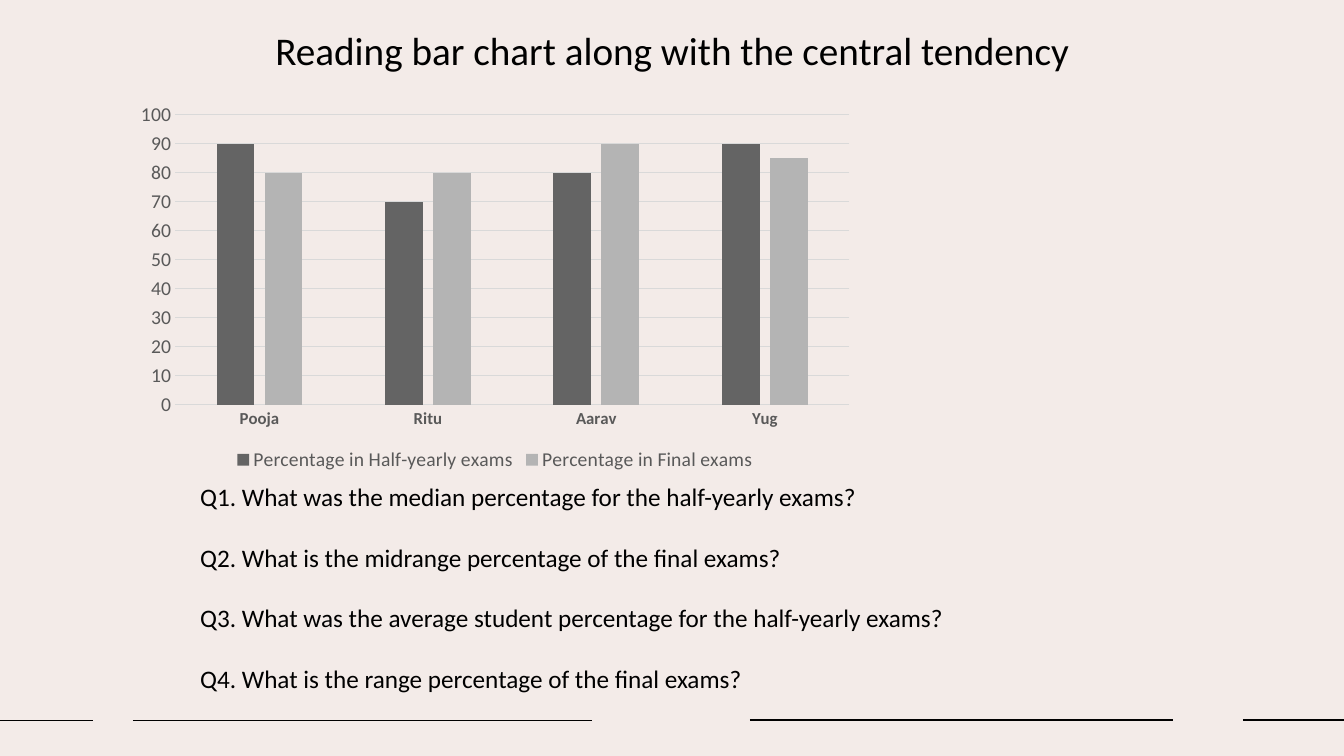
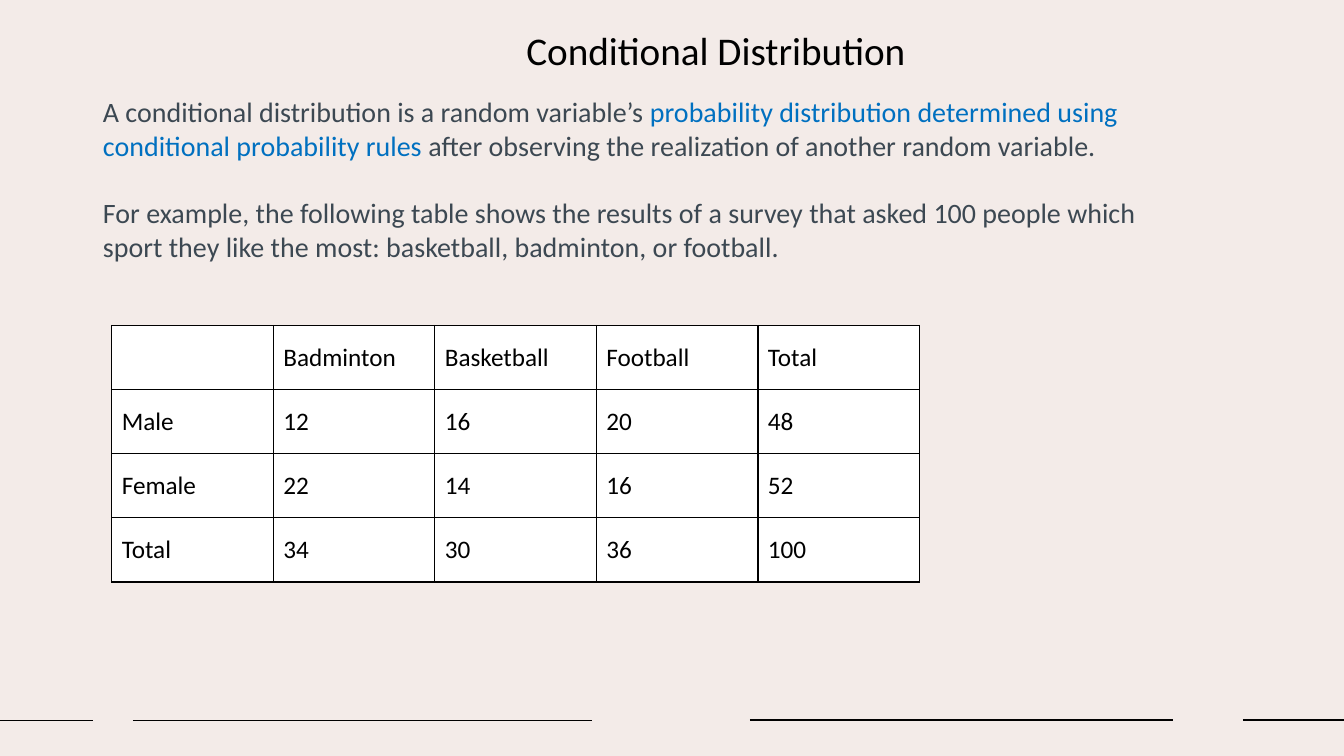
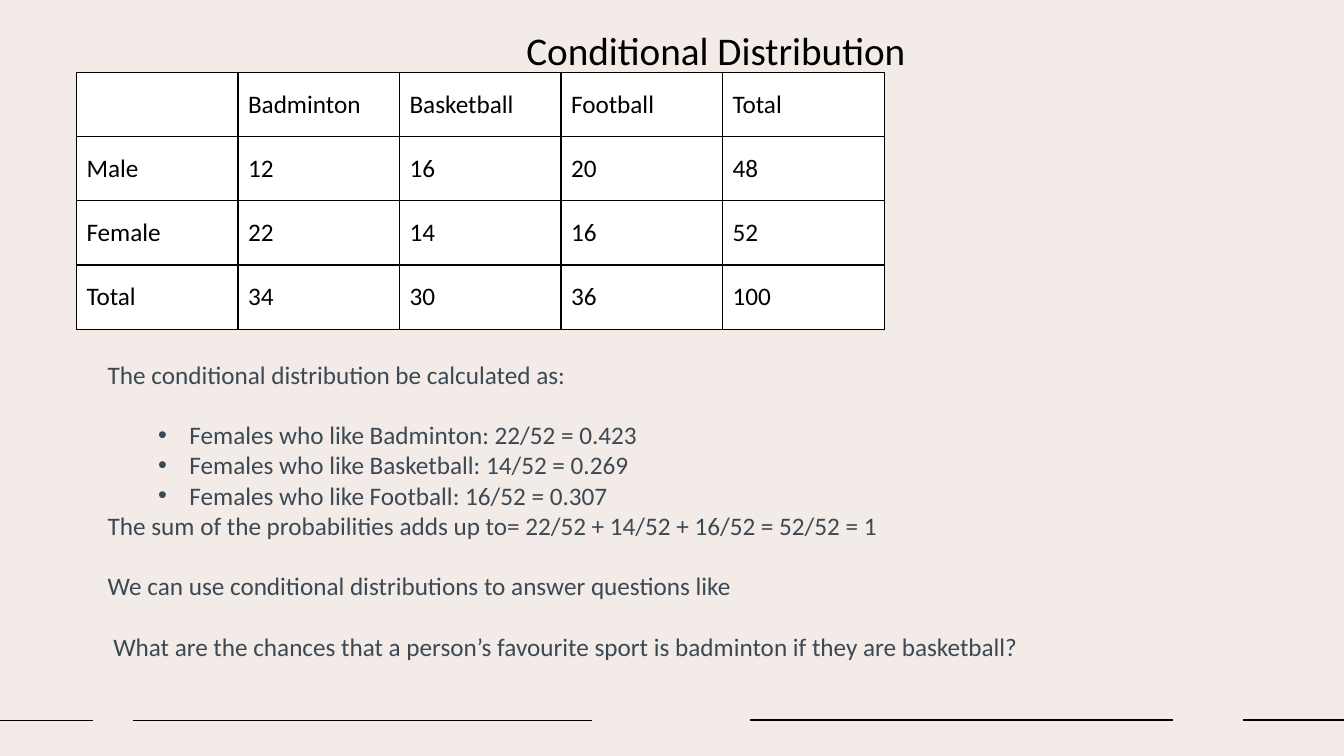
from lxml import etree
from pptx import Presentation
from pptx.chart import data as chart_data
from pptx.dml.color import RGBColor
from pptx.enum import chart as ch, shapes, text
from pptx.oxml import ns
from pptx.util import Cm, Pt

FONT = "Calibri"
BLACK = RGBColor(0x00, 0x00, 0x00)
WHITE = RGBColor(0xFF, 0xFF, 0xFF)
BLUSH = RGBColor(0xF3, 0xEB, 0xE8)
SLATE = RGBColor(0x3C, 0x48, 0x52)
BLUE = RGBColor(0x00, 0x70, 0xC0)
AXIS_GREY = RGBColor(0x59, 0x59, 0x59)
GRID_GREY = RGBColor(0xD9, 0xD9, 0xD9)

FOOTER_LINES = [(0, 2.34, 18.16), (3.35, 14.91, 18.16),
                (18.9, 29.57, 18.14), (31.32, 33.87, 18.14)]

STUDENTS = ["Pooja", "Ritu", "Aarav", "Yug"]
EXAMS = [
    ("Percentage in Half-yearly exams", (90, 70, 80, 90), RGBColor(0x64, 0x64, 0x64)),
    ("Percentage in Final exams", (80, 80, 90, 85), RGBColor(0xB4, 0xB4, 0xB4)),
]
SURVEY = [
    ("", "Badminton", "Basketball", "Football", "Total"),
    ("Male", "12", "16", "20", "48"),
    ("Female", "22", "14", "16", "52"),
    ("Total", "34", "30", "36", "100"),
]

QUESTIONS = [
    {"runs": [(question, BLACK)], "indent": 0.29, "gap": index > 0}
    for index, question in enumerate([
        "Q1. What was the median percentage for the half-yearly exams?",
        "Q2. What is the midrange percentage of the final exams?",
        "Q3. What was the average student percentage for the half-yearly exams?",
        "Q4. What is the range percentage of the final exams?",
    ])
]
DEFINITION = [
    {"runs": [
        ("A conditional distribution is a random variable’s ", SLATE),
        ("probability distribution determined using conditional probability rules", BLUE),
        (" after observing the realization of another random variable.", SLATE),
    ]},
    {"runs": [("For example, the following table shows the results of a survey that asked "
               "100 people which sport they like the most: basketball, badminton, or "
               "football.", SLATE)], "gap": True},
]
CALCULATION = [
    {"runs": [("The conditional distribution be calculated as:", SLATE)]},
    {"runs": [("Females who like Badminton: 22/52 = 0.423", SLATE)], "bullet": True, "gap": True},
    {"runs": [("Females who like Basketball: 14/52 = 0.269", SLATE)], "bullet": True},
    {"runs": [("Females who like Football: 16/52 = 0.307", SLATE)], "bullet": True},
    {"runs": [("The sum of the probabilities adds up to= 22/52 + 14/52 + 16/52 = 52/52 = 1",
               SLATE)]},
    {"runs": [("We can use conditional distributions to answer questions like", SLATE)],
     "gap": True},
    {"runs": [("What are the chances that a person’s favourite sport is badminton if they "
               "are basketball?", SLATE)], "indent": 0.14, "gap": True},
]

WIDE_TITLE = (0.94, 0.53, 32, 2.11)
SHIFTED_TITLE = (9.19, 0.53, 17.7, 2.11)
SLIDES = [
    {"title": "Reading bar chart along with the central tendency", "title_box": WIDE_TITLE,
     "body": QUESTIONS, "body_box": (4.5, 12.01, 20.8, 5.64), "size": 18,
     "chart_box": (3.18, 2.39, 18.59, 9.6)},
    {"title": "Conditional Distribution", "title_box": SHIFTED_TITLE,
     "body": DEFINITION, "body_box": (2.34, 2.26, 27.64, 5.38), "size": 20,
     "table_at": (2.82, 8.2)},
    {"title": "Conditional Distribution", "title_box": SHIFTED_TITLE,
     "body": CALCULATION, "body_box": (2.46, 8.92, 26.92, 7.95), "size": 18,
     "table_at": (1.93, 1.83)},
]
COLUMN_WIDTH, ROW_HEIGHT = 4.07, 1.61


def apply(target, formats):
    for attribute, value in formats.items():
        setattr(target, attribute, value)


def style_font(font, size, color, bold=False):
    apply(font, {"name": FONT, "size": Pt(size), "bold": bold})
    font.color.rgb = color


def place(placeholder, box):
    apply(placeholder, dict(zip(("left", "top", "width", "height"), map(Cm, box))))
    apply(placeholder.text_frame, {"word_wrap": True, "auto_size": text.MSO_AUTO_SIZE.NONE,
                                   "vertical_anchor": text.MSO_ANCHOR.TOP})


def fill_title(title, wording, box):
    place(title, box)
    heading = title.text_frame.paragraphs[0]
    heading.alignment = text.PP_ALIGN.CENTER
    run = heading.add_run()
    run.text = wording
    style_font(run.font, 28, BLACK)


def fill_body(body, items, box, size):
    place(body, box)
    frame = body.text_frame
    for index, item in enumerate(items):
        paragraph = frame.add_paragraph() if index else frame.paragraphs[0]
        apply(paragraph, {"line_spacing": 1.0, "space_after": Pt(0),
                          "space_before": Pt(size * 1.2 if item.get("gap") else 0),
                          "alignment": text.PP_ALIGN.LEFT})
        bullet = item.get("bullet")
        margin, hanging = (2.06, -0.79) if bullet else (item.get("indent", 0), 0)
        properties = paragraph._p.get_or_add_pPr()
        properties.set("marL", str(Cm(margin)))
        properties.set("indent", str(Cm(hanging)))
        if bullet:
            etree.SubElement(properties, ns.qn("a:buFont"), typeface="Arial")
            etree.SubElement(properties, ns.qn("a:buChar"), char="•")
        else:
            etree.SubElement(properties, ns.qn("a:buNone"))
        for wording, color in item["runs"]:
            run = paragraph.add_run()
            run.text = wording
            style_font(run.font, size, color)


def add_borders(cell):
    properties = cell._tc.get_or_add_tcPr()
    for position, side in enumerate(("lnL", "lnR", "lnT", "lnB")):
        border = etree.Element(ns.qn("a:" + side), w=str(Pt(1)))
        solid = etree.SubElement(border, ns.qn("a:solidFill"))
        etree.SubElement(solid, ns.qn("a:srgbClr"), val=str(BLACK))
        properties.insert(position, border)


def add_survey(slide, left, top):
    rows, columns = len(SURVEY), len(SURVEY[0])
    survey = slide.shapes.add_table(rows, columns, Cm(left), Cm(top),
                                    Cm(columns * COLUMN_WIDTH), Cm(rows * ROW_HEIGHT)).table
    apply(survey, {"first_row": False, "horz_banding": False})
    for row, entries in enumerate(SURVEY):
        for column, entry in enumerate(entries):
            cell = survey.cell(row, column)
            apply(cell, {"text": entry, "margin_left": Cm(0.25), "margin_right": Cm(0.2),
                         "margin_top": Cm(0.42), "margin_bottom": Cm(0.42)})
            style_font(cell.text_frame.paragraphs[0].font, 18, BLACK)
            for run in cell.text_frame.paragraphs[0].runs:
                style_font(run.font, 18, BLACK)
            cell.fill.solid()
            cell.fill.fore_color.rgb = WHITE
            add_borders(cell)


def add_exam_chart(slide, box):
    scores = chart_data.CategoryChartData()
    scores.categories = STUDENTS
    for name, values, _ in EXAMS:
        scores.add_series(name, values)
    chart = slide.shapes.add_chart(ch.XL_CHART_TYPE.COLUMN_CLUSTERED,
                                   *map(Cm, box), scores).chart
    apply(chart, {"has_title": False, "has_legend": True})
    style_font(chart.font, 14, AXIS_GREY)
    apply(chart.legend, {"position": ch.XL_LEGEND_POSITION.BOTTOM, "include_in_layout": False})
    style_font(chart.legend.font, 14, AXIS_GREY)

    plot = chart.plots[0]
    apply(plot, {"gap_width": 219, "overlap": -27, "vary_by_categories": False})
    for series, (_, _, color) in zip(plot.series, EXAMS):
        series.format.fill.solid()
        series.format.fill.fore_color.rgb = color

    students, percent = chart.category_axis, chart.value_axis
    for axis in (students, percent):
        apply(axis, {"major_tick_mark": ch.XL_TICK_MARK.NONE,
                     "minor_tick_mark": ch.XL_TICK_MARK.NONE})
    style_font(students.tick_labels.font, 12, AXIS_GREY, True)
    style_font(percent.tick_labels.font, 14, AXIS_GREY)
    apply(percent, {"minimum_scale": 0, "maximum_scale": 100, "major_unit": 10,
                    "has_major_gridlines": True})
    percent.format.line.fill.background()
    for line in (students.format.line, percent.major_gridlines.format.line):
        line.width = Pt(0.75)
        line.color.rgb = GRID_GREY


def style_master(master, slide):
    master.background.fill.solid()
    master.background.fill.fore_color.rgb = BLUSH
    for number, (start, end, height) in enumerate(FOOTER_LINES, 20):
        rule = slide.shapes.add_connector(shapes.MSO_CONNECTOR.STRAIGHT,
                                          Cm(start), Cm(height), Cm(end), Cm(height))
        rule.line.width = Pt(1)
        rule.line.color.rgb = BLACK
        etree.SubElement(rule.element.spPr, ns.qn("a:effectLst"))
        rule.element.nvCxnSpPr.cNvPr.set("id", str(number))
        master.element.cSld.spTree.insert(2, rule.element)


def main():
    deck = Presentation()
    apply(deck, {"slide_width": Cm(33.87), "slide_height": Cm(19.05)})
    for content in SLIDES:
        slide = deck.slides.add_slide(deck.slide_layouts[1])
        fill_title(slide.shapes.title, content["title"], content["title_box"])
        fill_body(slide.placeholders[1], content["body"], content["body_box"], content["size"])
        if "chart_box" in content:
            add_exam_chart(slide, content["chart_box"])
        if "table_at" in content:
            add_survey(slide, *content["table_at"])
    style_master(deck.slide_master, deck.slides[0])
    deck.save("out.pptx")


if __name__ == "__main__":
    main()
